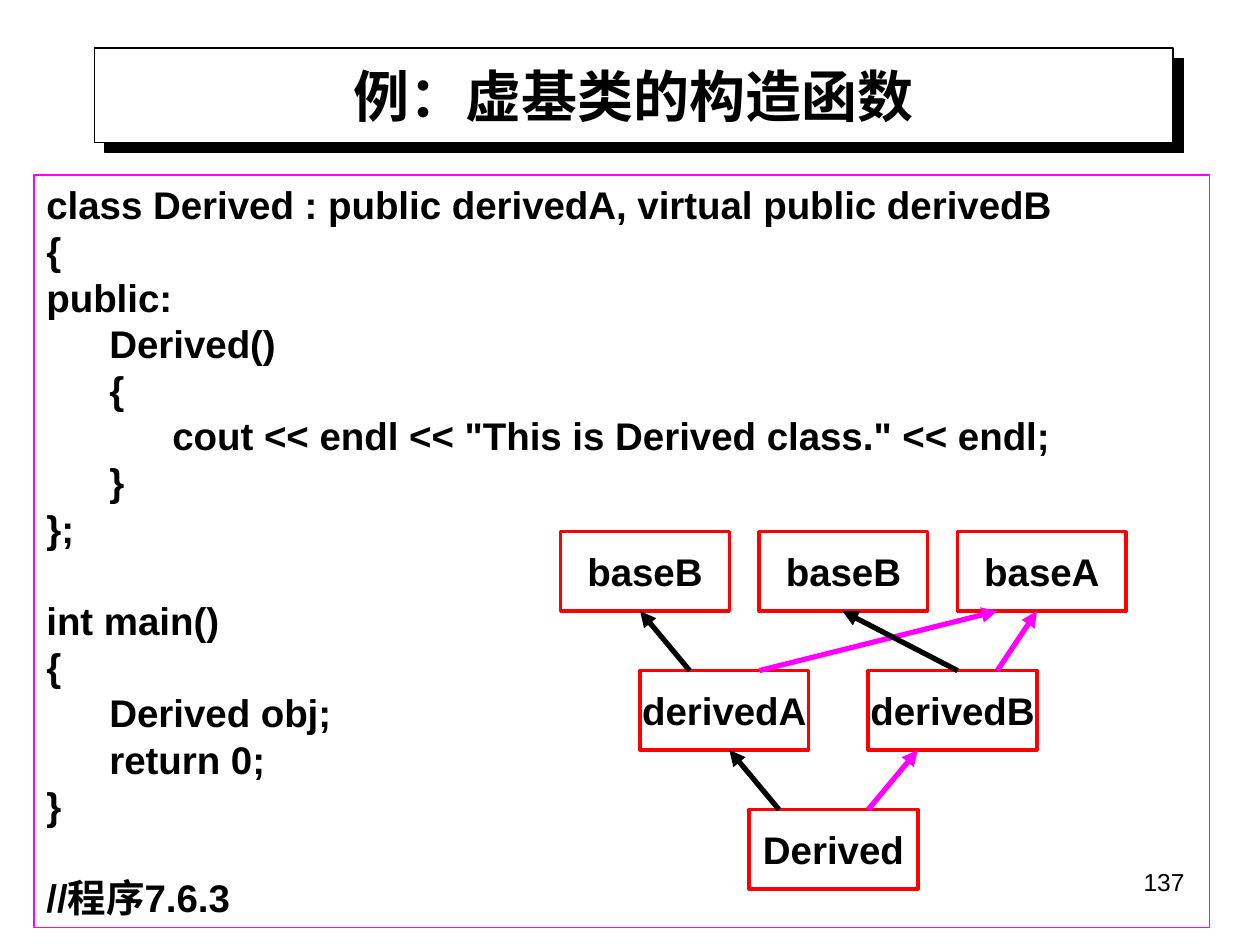
"""Build the slide on constructors of virtual base classes."""
from dataclasses import dataclass

from lxml import etree
from pptx import Presentation
from pptx.dml.color import RGBColor
from pptx.enum.shapes import MSO_CONNECTOR, MSO_SHAPE
from pptx.enum.text import MSO_ANCHOR, PP_ALIGN
from pptx.oxml.ns import qn
from pptx.util import Inches, Pt

RECTANGLE = MSO_SHAPE.RECTANGLE
STRAIGHT = MSO_CONNECTOR.STRAIGHT
TOP, MIDDLE = MSO_ANCHOR.TOP, MSO_ANCHOR.MIDDLE
LEFT, CENTER, RIGHT = PP_ALIGN.LEFT, PP_ALIGN.CENTER, PP_ALIGN.RIGHT

BLACK = RGBColor(0, 0, 0)
WHITE = RGBColor(255, 255, 255)
RED = RGBColor(255, 0, 0)
MAGENTA = RGBColor(255, 0, 255)

LATIN, CHINESE = "Arial", "Noto Sans CJK SC"
CODE_SIZE, LINE_PITCH = 22, 26.4
GRID_LEFT, GRID_TOP, GRID_UNIT = 4.45, 4.22, 0.1575
BOX_COLUMNS, BOX_ROWS = 8.5, 4

CODE = """class Derived : public derivedA, virtual public derivedB
{
public:
\tDerived()
\t{
\t\tcout << endl << "This is Derived class." << endl;
\t}
};

int main()
{
\tDerived obj;
\treturn 0;
}

//程序7.6.3"""


@dataclass(frozen=True)
class ClassBox:
    """A class in the inheritance diagram, placed in grid units."""
    name: str
    column: float
    row: float


@dataclass(frozen=True)
class Inheritance:
    """An arrow from the top of a class to the bottom of its base."""
    start_column: float
    start_row: float
    end_column: float
    end_row: float
    color: RGBColor


CLASSES = (
    ClassBox("baseB", 0, 0),
    ClassBox("baseB", 10, 0),
    ClassBox("baseA", 20, 0),
    ClassBox("derivedA", 4, 7),
    ClassBox("derivedB", 15.5, 7),
    ClassBox("Derived", 9.5, 14),
)
INHERITANCES = (
    Inheritance(6.5, 7, 4, 4, BLACK),
    Inheritance(11, 14, 8.5, 11, BLACK),
    Inheritance(10, 7, 22, 4, MAGENTA),
    Inheritance(20, 7, 14.2, 4, BLACK),
    Inheritance(22, 7, 24, 4, MAGENTA),
    Inheritance(15.5, 14, 18, 11, MAGENTA),
)


def grid_x(column: float) -> int:
    """Return the horizontal position of a diagram column."""
    return Inches(GRID_LEFT + column * GRID_UNIT)


def grid_y(row: float) -> int:
    """Return the vertical position of a diagram row."""
    return Inches(GRID_TOP + row * GRID_UNIT)


def add_rectangle(page, left, top, width, height, color: RGBColor, line_width: float):
    """Add an unfilled, outlined rectangle without a shadow."""
    box = page.shapes.add_shape(RECTANGLE, left, top, width, height)
    box.shadow.inherit = False
    box.fill.background()
    box.line.color.rgb = color
    box.line.width = Pt(line_width)
    return box


def add_span(para, text: str, size: float, bold: bool = True, font: str = LATIN) -> None:
    """Add one run of black text with its Latin and Chinese fonts."""
    span = para.add_run()
    span.text = text
    span.font.size = Pt(size)
    span.font.bold = bold
    span.font.name = font
    span.font.color.rgb = BLACK
    latin = span.font._element.find(qn("a:latin"))
    east_asian = etree.Element(qn("a:ea"), typeface=CHINESE)
    latin.addnext(east_asian)


def first_paragraph(box, align, anchor, wrap: bool = True):
    """Set up the text frame of a box and return its first paragraph."""
    frame = box.text_frame
    frame.word_wrap = wrap
    frame.vertical_anchor = anchor
    para = frame.paragraphs[0]
    para.alignment = align
    return para


def add_title(page) -> None:
    """Add the title panel with its hard black shadow."""
    box = add_rectangle(page, Inches(0.75), Inches(0.38), Inches(8.56), Inches(0.75), BLACK, 0.75)
    box.fill.solid()
    box.fill.fore_color.rgb = WHITE
    effects = box._element.spPr.find(qn("a:effectLst"))
    shadow = etree.SubElement(effects, qn("a:outerShdw"), dist=str(Pt(8.5)),
                              dir=str(45 * 60000), algn="ctr", rotWithShape="0")
    etree.SubElement(shadow, qn("a:srgbClr"), val=str(BLACK))
    para = first_paragraph(box, CENTER, MIDDLE)
    add_span(para, "例：", 32)
    add_span(para, "虚基类的构造函数", 32, font=CHINESE)


def add_code(page) -> None:
    """Add the listing, turning its blank lines into space before."""
    box = add_rectangle(page, Inches(0.27), Inches(1.39), Inches(9.33), Inches(5.97), MAGENTA, 0.75)
    para = first_paragraph(box, LEFT, TOP)
    for block_index, block in enumerate(CODE.split("\n\n")):
        for line_index, line in enumerate(block.split("\n")):
            if block_index or line_index:
                para = box.text_frame.add_paragraph()
                para.alignment = LEFT
            if block_index and not line_index:
                para.space_before = Pt(LINE_PITCH)
            para.line_spacing = Pt(LINE_PITCH)
            add_span(para, line, CODE_SIZE)


def add_class(page, item: ClassBox) -> None:
    """Add one class box to the diagram."""
    box = add_rectangle(page, grid_x(item.column), grid_y(item.row),
                        Inches(BOX_COLUMNS * GRID_UNIT), Inches(BOX_ROWS * GRID_UNIT), RED, 2)
    add_span(first_paragraph(box, CENTER, MIDDLE, wrap=False), item.name, CODE_SIZE)


def add_inheritance(page, item: Inheritance) -> None:
    """Add one inheritance arrow to the diagram."""
    arrow = page.shapes.add_connector(
        STRAIGHT, grid_x(item.start_column), grid_y(item.start_row),
        grid_x(item.end_column), grid_y(item.end_row))
    arrow.line.color.rgb = item.color
    arrow.line.width = Pt(3)
    etree.SubElement(arrow.line._get_or_add_ln(), qn("a:tailEnd"), type="triangle")
    etree.SubElement(arrow._element.spPr, qn("a:effectLst"))


def add_page_number(page) -> None:
    """Add the page number at the lower right."""
    box = page.shapes.add_textbox(Inches(7.17), Inches(6.83), Inches(2.33), Inches(0.52))
    add_span(first_paragraph(box, RIGHT, TOP), "137", 14, bold=False)


def main() -> None:
    """Build and save the deck."""
    deck = Presentation()
    deck.slide_width, deck.slide_height = Inches(10), Inches(7.5)
    page = deck.slides.add_slide(deck.slide_layouts[6])
    add_page_number(page)
    add_code(page)
    add_title(page)
    for item in CLASSES:
        add_class(page, item)
    for item in INHERITANCES:
        add_inheritance(page, item)
    deck.save("out.pptx")


if __name__ == "__main__":
    main()
